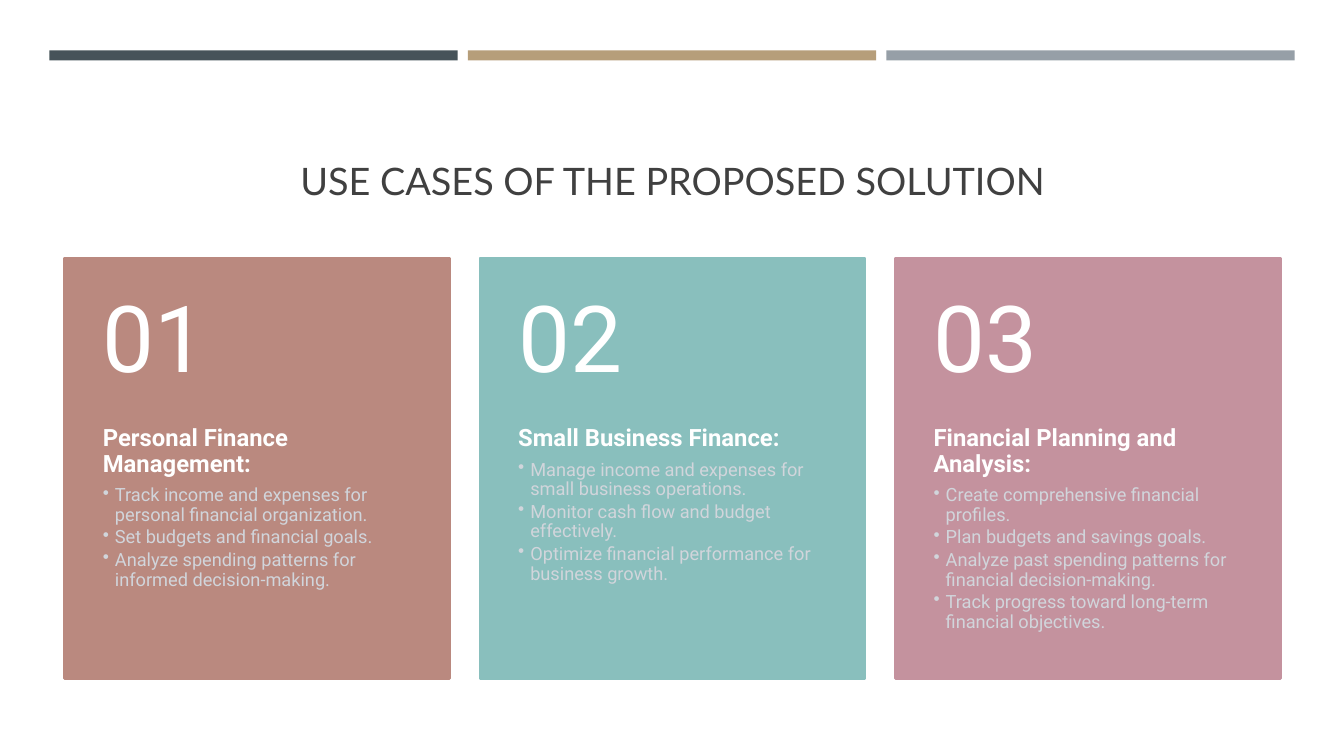
from dataclasses import dataclass

from lxml.etree import SubElement
from pptx import Presentation
from pptx.dml.color import RGBColor
from pptx.enum.shapes import MSO_SHAPE
from pptx.enum.text import MSO_ANCHOR, PP_ALIGN
from pptx.oxml.ns import qn
from pptx.util import Inches, Pt


@dataclass(frozen=True)
class Theme:
    title_font: str = "Lato"
    body_font: str = "Roboto"
    title_color: str = "404040"
    heading_color: str = "FFFFFF"
    bullet_color: str = "D1D5DB"
    bar_colors: tuple = ("465359", "B69E7A", "969FA7")
    card_colors: tuple = ("BA897F", "89BFBD", "C4929E")
    title_size: int = 27
    number_size: int = 66
    heading_size: int = 17
    bullet_size: int = 13


THEME = Theme()
TITLE = "USE CASES OF THE PROPOSED SOLUTION"
USE_CASES = [
    ("Personal Finance Management:", [
        "Track income and expenses for personal financial organization.",
        "Set budgets and financial goals.",
        "Analyze spending patterns for informed decision-making.",
    ]),
    ("Small Business Finance:", [
        "Manage income and expenses for small business operations.",
        "Monitor cash flow and budget effectively.",
        "Optimize financial performance for business growth.",
    ]),
    ("Financial Planning and Analysis:", [
        "Create comprehensive financial profiles.",
        "Plan budgets and savings goals.",
        "Analyze past spending patterns for financial decision-making.",
        "Track progress toward long-term financial objectives.",
    ]),
]


def add_panel(slide, box, color, line_width=None):
    panel = slide.shapes.add_shape(MSO_SHAPE.RECTANGLE, *map(Inches, box))
    panel.shadow.inherit = False
    panel.fill.solid()
    panel.fill.fore_color.rgb = RGBColor.from_string(color)
    if line_width is None:
        panel.line.fill.background()
    else:
        panel.line.color.rgb = RGBColor.from_string(color)
        panel.line.width = Pt(line_width)


def add_text_frame(slide, box, insets, anchor):
    """Add a wrapping text box; insets run left, top, right, bottom."""
    frame = slide.shapes.add_textbox(*map(Inches, box)).text_frame
    frame.word_wrap = True
    frame.vertical_anchor = anchor
    (frame.margin_left, frame.margin_top,
     frame.margin_right, frame.margin_bottom) = map(Inches, insets)
    return frame


def write(paragraph, text, font, size, color, bold=False, space_after=0):
    paragraph.line_spacing = 0.9
    paragraph.space_after = Pt(space_after)
    run = paragraph.add_run()
    run.text = text
    run.font.name = font
    run.font.size = Pt(size)
    run.font.bold = bold
    run.font.color.rgb = RGBColor.from_string(color)


def add_bullet(paragraph, indent=0.12):
    properties = paragraph._p.get_or_add_pPr()
    properties.set("marL", str(Inches(indent)))
    properties.set("indent", str(-Inches(indent)))
    SubElement(properties, qn("a:buChar")).set("char", "•")


def add_top_bars(slide, left, top, width, height, gap=0.1):
    bar_width = (width - 2 * gap) / 3
    for column, color in enumerate(THEME.bar_colors):
        bar_left = left + column * (bar_width + gap)
        add_panel(slide, (bar_left, top, bar_width, height), color)


def add_title(slide, box):
    frame = add_text_frame(slide, box, (0.1, 0.05, 0.1, 0.05), MSO_ANCHOR.BOTTOM)
    heading = frame.paragraphs[0]
    heading.alignment = PP_ALIGN.CENTER
    write(heading, TITLE, THEME.title_font, THEME.title_size, THEME.title_color)


def add_use_case(slide, box, number, color, heading, bullets):
    left, top, width, height = box
    number_height = 0.4 * height
    add_panel(slide, box, color, line_width=1.75)

    details = add_text_frame(
        slide, (left, top + number_height, width, height - number_height),
        (0.38, 0, 0.38, 0.36), MSO_ANCHOR.TOP)
    write(details.paragraphs[0], heading, THEME.body_font, THEME.heading_size,
          THEME.heading_color, bold=True, space_after=6)
    for bullet in bullets:
        paragraph = details.add_paragraph()
        paragraph.level = 1
        add_bullet(paragraph)
        write(paragraph, bullet, THEME.body_font, THEME.bullet_size,
              THEME.bullet_color, space_after=2)

    number_frame = add_text_frame(
        slide, (left, top, width, number_height),
        (0.38, 0.18, 0.38, 0.18), MSO_ANCHOR.MIDDLE)
    write(number_frame.paragraphs[0], f"{number:02d}", THEME.body_font,
          THEME.number_size, THEME.heading_color)


def add_use_cases(slide, left, top, width, height, gap=0.3):
    card_width = (width - 2 * gap) / 3
    cards = zip(THEME.card_colors, USE_CASES)
    for column, (color, (heading, bullets)) in enumerate(cards):
        card_left = left + column * (card_width + gap)
        add_use_case(slide, (card_left, top, card_width, height),
                     column + 1, color, heading, bullets)


def main():
    presentation = Presentation()
    presentation.slide_width = Inches(13.33)
    presentation.slide_height = Inches(7.5)
    slide = presentation.slides.add_slide(presentation.slide_layouts[6])
    add_top_bars(slide, 0.49, 0.5, 12.35, 0.1)
    add_title(slide, (0.64, 0.77, 12.06, 1.3))
    add_use_cases(slide, 0.64, 2.56, 12.06, 4.17)
    presentation.save("out.pptx")


if __name__ == "__main__":
    main()
